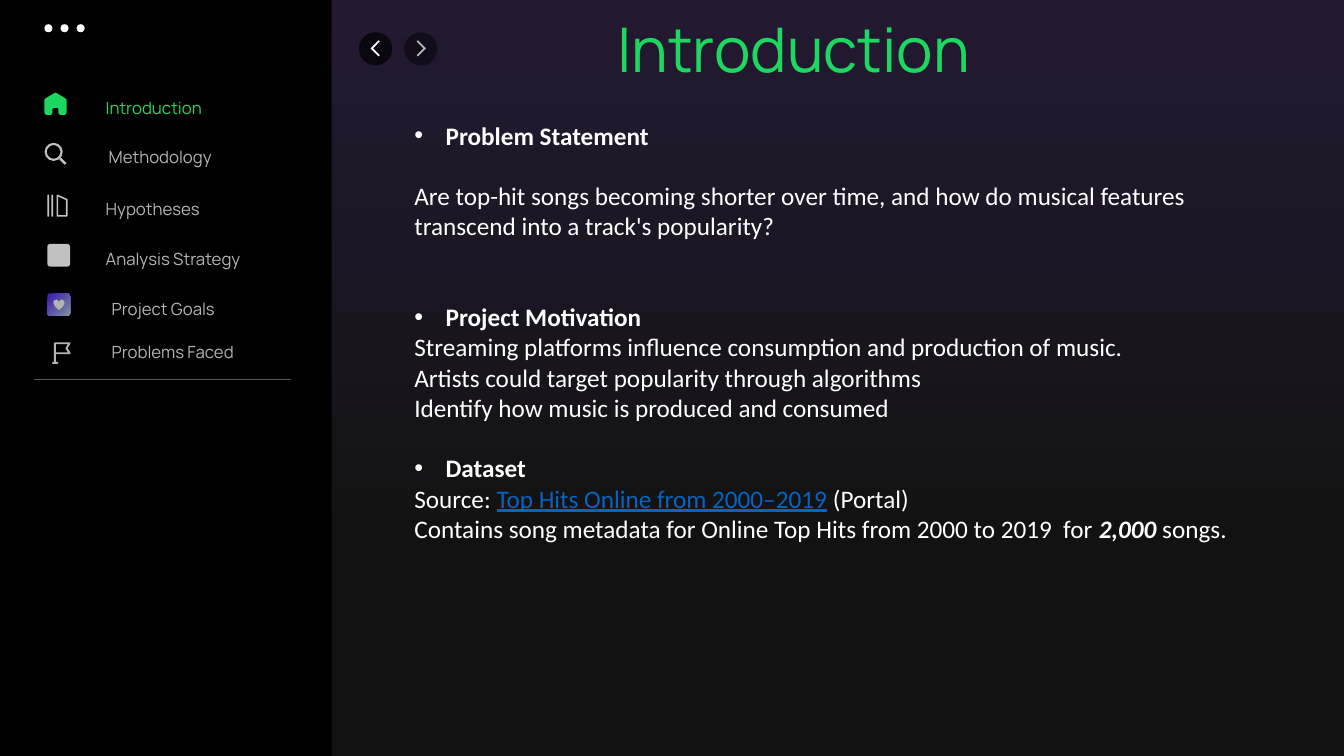
import pptx
import pptx.util
import pptx.dml.color
import pptx.enum.shapes
import pptx.enum.text
import pptx.oxml
from dataclasses import dataclass


@dataclass(frozen=True)
class Theme:
    green: str = "1ED760"
    white: str = "FFFFFF"
    black: str = "000000"
    grey: str = "B4B5B2"
    icon: str = "C1C1C1"
    rule: str = "555554"
    link: str = "0563C1"
    back: str = "0A070E"
    next: str = "120D1A"
    page: tuple = ((0, "231A32"), (73, "121212"))
    like: tuple = ((11, "4224B0"), (100, "7F93A0"))
    head: str = "Manrope"
    body: str = "Calibri"
    big: int = 44
    mid: int = 18
    small: int = 12


T = Theme()

# Content: menu rows are label, left, top in grid cells
TITLE = "Introduction"
MENU = [
    ("Introduction", 95, 92),
    ("Methodology", 98, 141),
    ("Hypotheses", 95, 192),
    ("Analysis Strategy", 95, 242),
    ("Project Goals", 101, 291),
    ("Problems Faced", 101, 334),
]
# Each section: blank lines above, heading, blank lines below, body lines
BODY = [
    (0, "Problem Statement", 1, [
        ["Are top-hit songs becoming shorter over time, and how do musical "
         "features transcend into a track's popularity?"]]),
    (2, "Project Motivation", 0, [
        ["Streaming platforms influence consumption and production of music."],
        ["Artists could target popularity through algorithms"],
        ["Identify how music is produced and consumed"]]),
    (1, "Dataset", 0, [
        ["Source: ", ("Top Hits Online from 2000–2019",
                      dict(color=T.link, line=True)), " (Portal)"],
        ["Contains song metadata for Online Top Hits from 2000 to 2019  for ",
         ("2,000 ", dict(bold=True, slant=True)), "songs."]]),
]

# Icon outlines in grid cells
HOME = [(66, 99), (66, 111), (65.4, 113.3), (64, 114), (60, 114), (58.6, 113.4),
        (58, 112), (58, 108), (57, 107), (53, 107), (52, 108), (52, 112),
        (51.4, 113.4), (50, 114), (46, 114), (44.6, 113.3), (44, 111),
        (44, 99), (45, 97.7), (54, 92.3), (55, 92), (56, 92.3), (65, 97.7)]
SHELF = [(56.8, 193.8), (66.2, 198), (66.2, 214.2), (56.8, 214.2)]
FLAG = [(52, 360), (57, 360), (54.5, 360), (54.5, 340.5), (69, 340.5),
        (66, 345.5), (69, 350.5), (54.5, 350.5)]
ARROW = [(3, 8), (-5, 0), (3, -8), (4.2, -6.8), (-2.6, 0), (4.2, 6.8)]

# Grid: 1333 columns by 750 rows
CELL = pptx.util.Inches(0.01)
COLS, ROWS = 1333, 750
KIND = pptx.enum.shapes.MSO_SHAPE

deck = pptx.Presentation()
deck.slide_width, deck.slide_height = COLS * CELL, ROWS * CELL
slide = deck.slides.add_slide(deck.slide_layouts[1])
parts = slide.shapes


def grid(*nums):
    return [round(n * CELL) for n in nums]


def rgb(code):
    return pptx.dml.color.RGBColor.from_string(code)


def blend(fill, stops, angle):
    fill.gradient()
    fill.gradient_angle = 360 - angle
    for stop, (place, code) in zip(fill.gradient_stops, stops):
        stop.position = place / 100
        stop.color.rgb = rgb(code)


def paint(item, code):
    item.shadow.inherit = False
    item.line.fill.background()
    item.fill.solid()
    item.fill.fore_color.rgb = rgb(code)
    return item


def shape(kind, box, code, adj=None):
    item = paint(parts.add_shape(kind, *grid(*box)), code)
    if adj is not None:
        item.adjustments[0] = adj
    return item


def stroke(line, code, size):
    line.color.rgb = rgb(code)
    line.width = pptx.util.Pt(size)


def trace(dots, code, close=True, size=None):
    dots = [tuple(grid(*dot)) for dot in dots]
    pen = parts.build_freeform(*dots[0], scale=1.0)
    pen.add_line_segments(dots[1:], close=close)
    item = paint(pen.convert_to_shape(), code)
    if size:
        item.fill.background()
        stroke(item.line, code, size)


def rule(ends, code, size):
    item = parts.add_connector(pptx.enum.shapes.MSO_CONNECTOR.STRAIGHT,
                               *grid(*ends))
    stroke(item.line, code, size)
    props = item._element.spPr
    props.append(props.makeelement(pptx.oxml.ns.qn("a:effectLst"), {}))


def write(para, text, font=T.body, size=T.mid, color=T.white,
          bold=False, slant=False, line=False):
    run = para.add_run()
    run.text = text
    face = run.font
    face.name, face.size = font, pptx.util.Pt(size)
    face.bold, face.italic, face.underline = bold, slant, line
    face.color.rgb = rgb(color)


def frame(item, box):
    item.left, item.top, item.width, item.height = grid(*box)
    text = item.text_frame
    text.word_wrap = True
    text.auto_size = pptx.enum.text.MSO_AUTO_SIZE.NONE
    text.vertical_anchor = pptx.enum.text.MSO_ANCHOR.TOP
    return text


def setup(para, gap=0, mark=False):
    para.alignment = pptx.enum.text.PP_ALIGN.LEFT
    para.line_spacing = 1.0
    para.space_before = pptx.util.Pt(gap * T.mid * 1.2)
    para.space_after = pptx.util.Pt(0)
    props = para._p.get_or_add_pPr()
    inset = 31 * CELL if mark else 0
    props.set("marL", str(inset))
    props.set("indent", str(-inset))
    name = "a:buChar" if mark else "a:buNone"
    props.append(props.makeelement(pptx.oxml.ns.qn(name),
                                   {"char": "•"} if mark else {}))


# Background and sidebar
blend(slide.background.fill, T.page, 90)
shape(KIND.RECTANGLE, (0, 0, 329, ROWS), T.black)
for step in range(3):
    shape(KIND.OVAL, (44 + 16 * step, 24, 8, 8), T.white)

# Back and forward buttons
for left, disc, tip, way in [(356, T.back, T.white, 1), (401, T.next, T.grey, -1)]:
    shape(KIND.OVAL, (left, 32, 33, 33), disc)
    mid = left + 16.5
    trace([(mid + way * x, 48 + y) for x, y in ARROW], tip)

# Menu labels and icons
for row, (label, left, top) in enumerate(MENU):
    text = frame(parts.add_textbox(0, 0, 0, 0), (left, top, 180, 30))
    write(text.paragraphs[0], label, font=T.head, size=T.small,
          color=T.grey if row else T.green)
trace(HOME, T.green)
shape(KIND.DONUT, (44.2, 141.7, 18, 18), T.icon, 0.12)
rule((59.5, 157, 65, 162.7), T.icon, 1.75)
for left in (47, 51):
    shape(KIND.ROUNDED_RECTANGLE, (left, 193, 1.7, 22), T.icon, 0.5)
trace(SHELF, T.icon, size=1.1)
shape(KIND.ROUNDED_RECTANGLE, (47, 242, 22.5, 22.5), T.icon, 0.126)
tile = shape(KIND.ROUNDED_RECTANGLE, (47, 291, 22.5, 22.5), T.icon, 0.126)
blend(tile.fill, T.like, 45)
shape(KIND.HEART, (53, 297, 11, 10.5), T.grey)
trace(FLAG, T.grey, close=False, size=1.4)
rule((34, 376, 289, 376), T.rule, 0.5)

# Title and body
text = frame(parts.title, (602, 6, 438, 84))
setup(text.paragraphs[0])
write(text.paragraphs[0], TITLE, font=T.head, size=T.big, color=T.green)

text = frame(slide.placeholders[1], (401, 114, 837, 600))
para = text.paragraphs[0]
for above, head, below, lines in BODY:
    if para.runs:
        para = text.add_paragraph()
    setup(para, above, mark=True)
    write(para, head, bold=True)
    for num, line in enumerate(lines):
        para = text.add_paragraph()
        setup(para, 0 if num else below)
        for bit in line:
            words, style = (bit, {}) if isinstance(bit, str) else bit
            write(para, words, **style)

deck.save("out.pptx")
